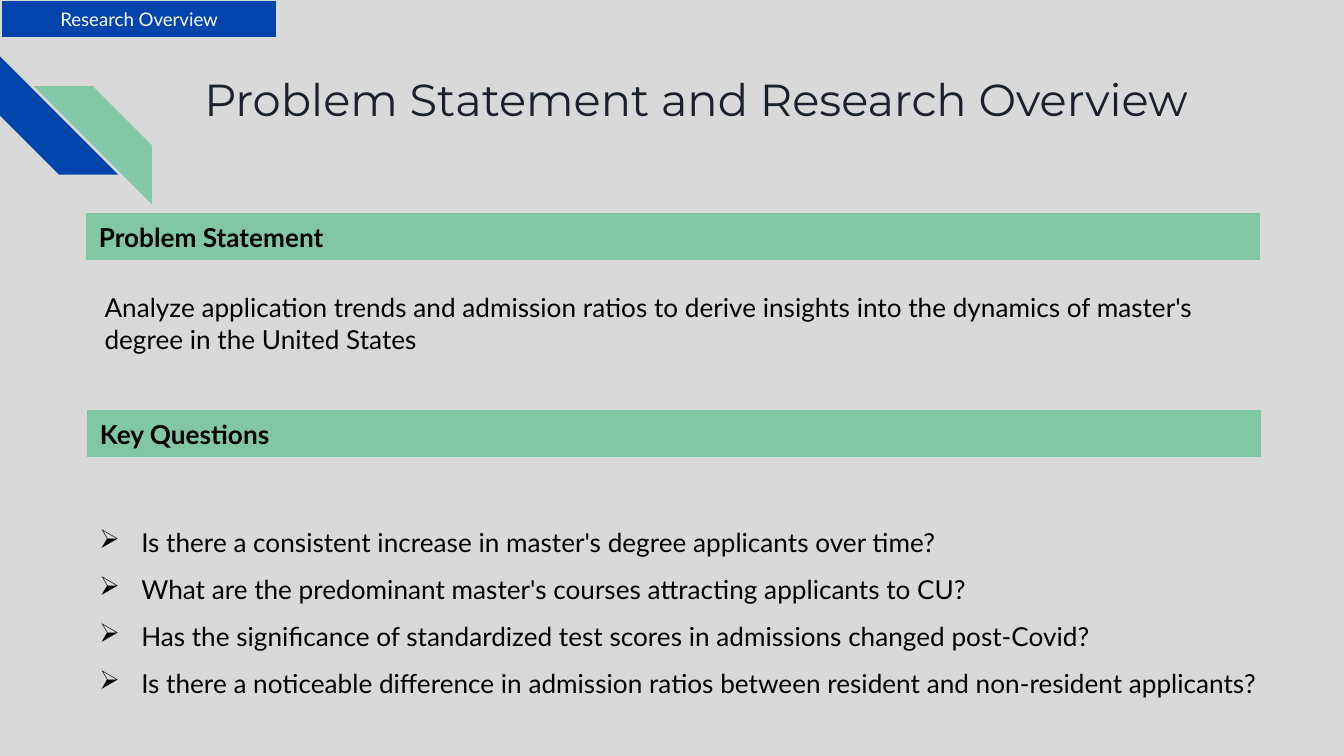
from lxml import etree
from pptx import Presentation
from pptx.dml.color import RGBColor
from pptx.enum import shapes, text
from pptx.oxml.ns import qn
from pptx.util import Pt

BLUE = RGBColor(0x01, 0x45, 0xAC)
GREEN = RGBColor(0x82, 0xC7, 0xA5)
GREY = RGBColor(0xD9, 0xD9, 0xD9)
NAVY = RGBColor(0x1B, 0x21, 0x2C)
BLACK = RGBColor(0, 0, 0)
WHITE = RGBColor(255, 255, 255)

# Content: positions are left, top, width, height in points
TITLE = "Problem Statement and Research Overview"
TITLE_BOX = (102.24, 30.96, 554.4, 72)
STRIPES = [  # left, top, rotation, colour
    (0, 30.24, 270, BLUE),
    (18, 46.08, 90, GREEN),
]
STRIPE_SIZE = 63.36
TAB = ("Research Overview", (0.72, 0.2, 147.6, 19.8))
HEADINGS = [
    ("Problem Statement", (45.9, 113.9, 629.28, 25.92)),
    ("Key Questions", (46.4, 219.5, 629.28, 25.92)),
]
STATEMENT = ("Analyze application trends and admission ratios to derive insights "
             "into the dynamics of master's degree in the United States")
STATEMENT_BOX = (48.96, 152.64, 624.24, 41.04)
QUESTIONS = [
    "Is there a consistent increase in master's degree applicants over time?",
    "What are the predominant master's courses attracting applicants to CU?",
    "Has the significance of standardized test scores in admissions changed post-Covid?",
    "Is there a noticeable difference in admission ratios between resident and "
    "non-resident applicants?",
]
QUESTIONS_BOX = (46.08, 270, 640.08, 98)
BULLET_INDENT = 22.5


def format_text(paragraph, size, color, font="Lato", bold=False):
    for run in paragraph.runs:
        run.font.name = font
        run.font.size = Pt(size)
        run.font.bold = bold
        run.font.color.rgb = color


def set_insets(frame, inset):
    frame.margin_left = frame.margin_right = Pt(inset)
    frame.margin_top = frame.margin_bottom = Pt(inset)


def add_filled(slide, kind, box, color):
    shape = slide.shapes.add_shape(kind, *map(Pt, box))
    shape.shadow.inherit = False
    shape.fill.solid()
    shape.fill.fore_color.rgb = color
    return shape


def add_label(slide, label, box, fill, size, color, align, bold=False):
    shape = add_filled(slide, shapes.MSO_SHAPE.RECTANGLE, box, fill)
    shape.line.color.rgb = GREY
    shape.line.width = Pt(0.75)
    frame = shape.text_frame
    frame.text = label
    frame.vertical_anchor = text.MSO_ANCHOR.MIDDLE
    set_insets(frame, 7.2)
    frame.paragraphs[0].alignment = align
    format_text(frame.paragraphs[0], size, color, bold=bold)


def add_text(slide, lines, box):
    frame = slide.shapes.add_textbox(*map(Pt, box)).text_frame
    frame.word_wrap = True
    frame.text = "\n".join(lines)
    for paragraph in frame.paragraphs:
        format_text(paragraph, 14, BLACK)
    return frame


def add_bullet(paragraph):
    properties = paragraph._p.get_or_add_pPr()
    properties.set("marL", str(Pt(BULLET_INDENT)))
    properties.set("indent", str(-Pt(BULLET_INDENT)))
    color = etree.SubElement(properties, qn("a:buClr"))
    etree.SubElement(color, qn("a:srgbClr"), val=str(BLACK))
    etree.SubElement(properties, qn("a:buChar"), char="➢")


def main():
    presentation = Presentation()
    presentation.slide_width = Pt(720)
    presentation.slide_height = Pt(405)
    slide = presentation.slides.add_slide(presentation.slide_layouts[5])
    slide.background.fill.solid()
    slide.background.fill.fore_color.rgb = GREY

    # Corner stripes
    for left, top, rotation, color in STRIPES:
        stripe = add_filled(slide, shapes.MSO_SHAPE.DIAGONAL_STRIPE,
                            (left, top, STRIPE_SIZE, STRIPE_SIZE), color)
        stripe.rotation = rotation
        stripe.line.fill.background()

    # Title
    title = slide.shapes.title
    title.left, title.top, title.width, title.height = map(Pt, TITLE_BOX)
    frame = title.text_frame
    frame.text = TITLE
    frame.vertical_anchor = text.MSO_ANCHOR.TOP
    set_insets(frame, 7.2)
    frame.paragraphs[0].alignment = text.PP_ALIGN.LEFT
    format_text(frame.paragraphs[0], 24, NAVY, font="Montserrat")

    # Section tab and heading bars
    add_label(slide, *TAB, BLUE, 10, WHITE, text.PP_ALIGN.CENTER)
    for label, box in HEADINGS:
        add_label(slide, label, box, GREEN, 14, BLACK, text.PP_ALIGN.LEFT, bold=True)

    # Statement and questions
    add_text(slide, [STATEMENT], STATEMENT_BOX)
    for paragraph in add_text(slide, QUESTIONS, QUESTIONS_BOX).paragraphs:
        paragraph.line_spacing = 1.5
        add_bullet(paragraph)

    presentation.save("out.pptx")


if __name__ == "__main__":
    main()
